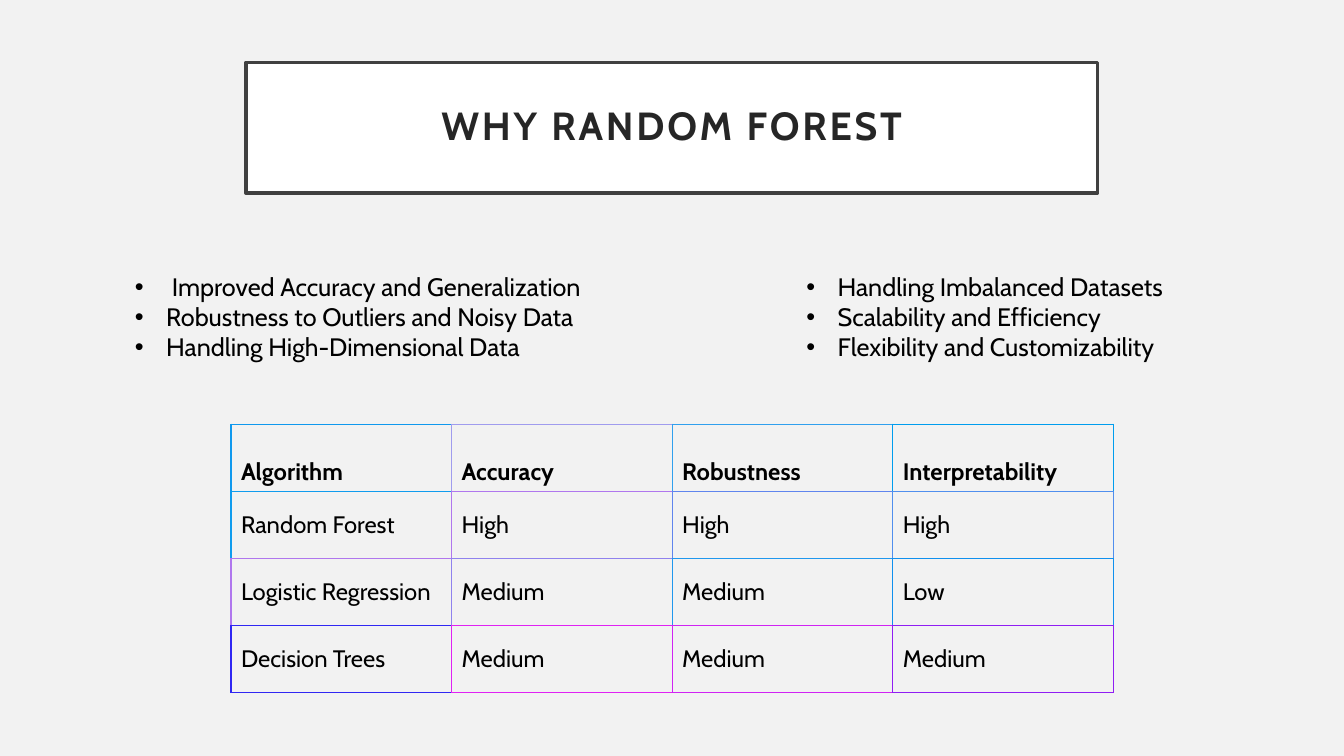
from lxml.etree import SubElement
from pptx import Presentation
from pptx.dml.color import RGBColor
from pptx.enum.shapes import MSO_SHAPE
from pptx.enum.text import MSO_ANCHOR as Anchor, PP_ALIGN as Align
from pptx.oxml.ns import qn
from pptx.util import Cm, Pt

TITLE = "WHY RANDOM FOREST"
BULLET_BOXES = [
    {"box": (20.07, 6.71, 13.8, 4.11),
     "lines": ["Handling Imbalanced Datasets",
               "Scalability and Efficiency",
               "Flexibility and Customizability"]},
    {"box": (3.15, 6.71, 16.94, 3.33),
     "lines": [" Improved Accuracy and Generalization",
               "Robustness to Outliers and Noisy Data",
               "Handling High-Dimensional Data"]},
]
TABLE_ROWS = [
    ["Algorithm", "Accuracy", "Robustness", "Interpretability"],
    ["Random Forest", "High", "High", "High"],
    ["Logistic Regression", "Medium", "Medium", "Low"],
    ["Decision Trees", "Medium", "Medium", "Medium"],
]
BORDER_COLORS = [
    ["1099EE", "A09CEE", "30A0EE", "009DEE"],
    ["109CEE", "B077EE", "6085EE", "508FEE"],
    ["B077EE", "9082EE", "2098EE", "1090EE"],
    ["3027F3", "E022F3", "D023F3", "901EF3"],
]
COLORS = {"background": "F2F2F2", "title_fill": "FFFFFF", "title_line": "404040",
          "title_text": "262626", "text": "000000"}
FONT = "Cabin"
TITLE_BOX = (6.2, 1.57, 21.46, 3.3)
TABLE_LEFT, TABLE_TOP = 5.82, 10.69
COLUMN_WIDTH, ROW_HEIGHT = 5.56, 1.69
BULLET_INDENT = Cm(0.79)


def rgb(name):
    return RGBColor.from_string(COLORS[name])


def add_text(paragraph, text, size, color="text", bold=False, spacing=0):
    run = paragraph.add_run()
    run.text = text
    run.font.name = FONT
    run.font.size = Pt(size)
    run.font.bold = bold
    run.font.color.rgb = rgb(color)
    if spacing:
        run.font._element.set("spc", str(spacing * 100))


def add_title(slide):
    shape = slide.shapes.add_shape(MSO_SHAPE.RECTANGLE, *map(Cm, TITLE_BOX))
    shape.shadow.inherit = False
    shape.fill.solid()
    shape.fill.fore_color.rgb = rgb("title_fill")
    shape.line.color.rgb = rgb("title_line")
    shape.line.width = Pt(2.5)
    frame = shape.text_frame
    frame.word_wrap = True
    frame.vertical_anchor = Anchor.MIDDLE
    frame.margin_left = frame.margin_right = Cm(0.5)
    frame.margin_top = frame.margin_bottom = Cm(0.5)
    paragraph = frame.paragraphs[0]
    paragraph.alignment = Align.CENTER
    paragraph.line_spacing = 0.9
    add_text(paragraph, TITLE, 28, color="title_text", bold=True, spacing=2)


def add_bullets(slide, box, lines):
    frame = slide.shapes.add_textbox(*map(Cm, box)).text_frame
    frame.word_wrap = True
    for index, line in enumerate(lines):
        paragraph = frame.add_paragraph() if index else frame.paragraphs[0]
        properties = paragraph._p.get_or_add_pPr()
        properties.set("marL", str(BULLET_INDENT))
        properties.set("indent", str(-BULLET_INDENT))
        SubElement(properties, qn("a:buFont"), typeface="Arial")
        SubElement(properties, qn("a:buChar"), char="•")
        add_text(paragraph, line, 18)


def set_border(cell, side, color, width):
    line = SubElement(cell._tc.get_or_add_tcPr(), qn(f"a:ln{side}"), w=str(Pt(width)))
    fill = SubElement(line, qn("a:solidFill"))
    SubElement(fill, qn("a:srgbClr"), val=color)


def set_borders(cell, row, column):
    """Left and top take the cell's colour, right and bottom the neighbour's."""
    last = len(BORDER_COLORS) - 1
    own = BORDER_COLORS[row][column]
    right = BORDER_COLORS[row][min(column + 1, last)]
    below = BORDER_COLORS[min(row + 1, last)][column]
    set_border(cell, "L", own, 1)
    set_border(cell, "R", right, 1)
    set_border(cell, "T", own, 1)
    set_border(cell, "B", below, 0.75 if row == last else 1)


def add_comparison_table(slide):
    rows, columns = len(TABLE_ROWS), len(TABLE_ROWS[0])
    table = slide.shapes.add_table(
        rows, columns, Cm(TABLE_LEFT), Cm(TABLE_TOP),
        Cm(columns * COLUMN_WIDTH), Cm(rows * ROW_HEIGHT)).table
    table.first_row = table.horz_banding = False
    for column in table.columns:
        column.width = Cm(COLUMN_WIDTH)
    for row_index, texts in enumerate(TABLE_ROWS):
        table.rows[row_index].height = Cm(ROW_HEIGHT)
        is_header = row_index == 0
        for column_index, text in enumerate(texts):
            cell = table.cell(row_index, column_index)
            cell.vertical_anchor = Anchor.BOTTOM if is_header else Anchor.MIDDLE
            set_borders(cell, row_index, column_index)
            cell.fill.background()
            add_text(cell.text_frame.paragraphs[0], text, 17, bold=is_header)


def main():
    presentation = Presentation()
    presentation.slide_width, presentation.slide_height = Cm(33.87), Cm(19.05)
    slide = presentation.slides.add_slide(presentation.slide_layouts[6])
    slide.background.fill.solid()
    slide.background.fill.fore_color.rgb = rgb("background")
    add_title(slide)
    add_comparison_table(slide)
    for bullets in BULLET_BOXES:
        add_bullets(slide, **bullets)
    presentation.save("out.pptx")


if __name__ == "__main__":
    main()
